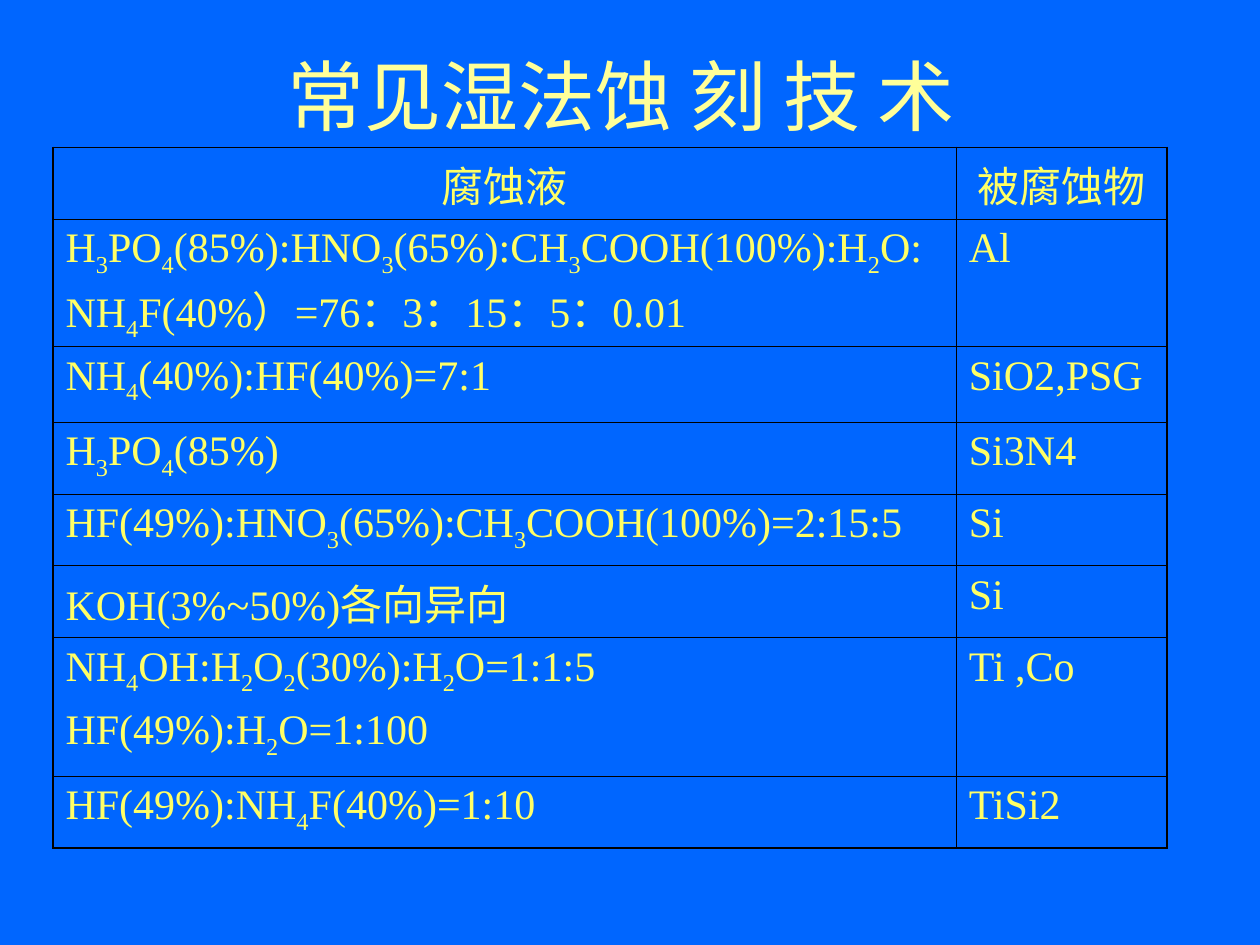
from lxml.etree import SubElement
from pptx import Presentation
from pptx.dml.color import RGBColor
from pptx.enum.text import MSO_ANCHOR, PP_ALIGN
from pptx.oxml import parse_xml
from pptx.oxml.ns import nsdecls, qn
from pptx.util import Inches, Pt

BLUE = RGBColor(0x00, 0x66, 0xFF)
TITLE_YELLOW = RGBColor(0xFF, 0xFF, 0x99)
TEXT_YELLOW = RGBColor(0xFF, 0xFF, 0x66)
BLACK = RGBColor(0x00, 0x00, 0x00)
LATIN_FONT = "Times New Roman"
CJK_FONT = "Noto Sans CJK SC"
OUTER_LINE, INNER_LINE = Pt(1.08), Pt(0.45)

TITLE = "常见湿法蚀 刻 技 术 "
COLUMN_WIDTHS = (7.17, 1.67)
ETCHANTS = [
    (0.57, ["腐蚀液"], "被腐蚀物"),
    (1.01, ["H_3PO_4(85%):HNO_3(65%):CH_3COOH(100%):H_2O:NH_4F(40%）=76：3：15：5：0.01"], "Al"),
    (0.6, ["NH_4(40%):HF(40%)=7:1"], "SiO2,PSG"),
    (0.57, ["H_3PO_4(85%)"], "Si3N4"),
    (0.57, ["HF(49%):HNO_3(65%):CH_3COOH(100%)=2:15:5"], "Si"),
    (0.57, ["KOH(3%~50%)各向异向"], "Si"),
    (1.1, ["NH_4OH:H_2O_2(30%):H_2O=1:1:5", "HF(49%):H_2O=1:100"], "Ti ,Co"),
    (0.57, ["HF(49%):NH_4F(40%)=1:10"], "TiSi2"),
]


def format_run(run, size, color, latin):
    """Set the size, colour and both typefaces of a run."""
    run.font.size = Pt(size)
    run.font.color.rgb = color
    run.font.name = latin
    SubElement(run._r.get_or_add_rPr(), qn("a:ea"), typeface=CJK_FONT)


def add_formula(paragraph, formula):
    """Write a formula in which an underscore lowers the next character."""
    first, *parts = formula.split("_")
    pieces = [(first, False)]
    for part in parts:
        pieces += [(part[0], True), (part[1:], False)]
    for text, lowered in pieces:
        run = paragraph.add_run()
        run.text = text
        format_run(run, 24, TEXT_YELLOW, LATIN_FONT)
        if lowered:
            run._r.get_or_add_rPr().set("baseline", "-25000")


def set_borders(cell, widths):
    """Draw the left, right, top and bottom borders of a cell."""
    properties = cell._tc.get_or_add_tcPr()
    for index, (side, width) in enumerate(zip("LRTB", widths)):
        line = parse_xml(
            f'<a:ln{side} {nsdecls("a")} w="{width}"><a:solidFill>'
            f'<a:srgbClr val="{BLACK}"/></a:solidFill></a:ln{side}>'
        )
        properties.insert(index, line)


def fill_cell(cell, formulas, alignment, borders):
    """Write one formula per paragraph in an unfilled, bordered cell."""
    cell.fill.background()
    set_borders(cell, borders)
    for index, formula in enumerate(formulas):
        text_frame = cell.text_frame
        paragraph = text_frame.add_paragraph() if index else text_frame.paragraphs[0]
        paragraph.alignment = alignment
        if index:
            paragraph.space_before = Pt(6)
        add_formula(paragraph, formula)


def add_title(slide, left, top, width, height):
    """Place the centred slide title."""
    text_frame = slide.shapes.add_textbox(left, top, width, height).text_frame
    text_frame.word_wrap = True
    text_frame.vertical_anchor = MSO_ANCHOR.MIDDLE
    text_frame.text = TITLE
    paragraph = text_frame.paragraphs[0]
    paragraph.alignment = PP_ALIGN.CENTER
    format_run(paragraph.runs[0], 44, TITLE_YELLOW, CJK_FONT)


def add_etchant_table(slide, left, top, width, height):
    """Place the table of etchants and the materials they etch."""
    last_row, last_column = len(ETCHANTS) - 1, len(COLUMN_WIDTHS) - 1
    table = slide.shapes.add_table(
        last_row + 1, last_column + 1, left, top, width, height
    ).table
    table.first_row = table.horz_banding = False
    for column, column_width in zip(table.columns, COLUMN_WIDTHS):
        column.width = Inches(column_width)
    for row, (row_height, etchant, material) in enumerate(ETCHANTS):
        table.rows[row].height = Inches(row_height)
        alignment = PP_ALIGN.LEFT if row else PP_ALIGN.CENTER
        for column, formulas in enumerate((etchant, [material])):
            edges = (column == 0, column == last_column, row == 0, row == last_row)
            borders = [OUTER_LINE if edge else INNER_LINE for edge in edges]
            fill_cell(table.cell(row, column), formulas, alignment, borders)


def main():
    """Build and save the slide."""
    presentation = Presentation()
    presentation.slide_width, presentation.slide_height = Inches(10), Inches(7.5)
    slide = presentation.slides.add_slide(presentation.slide_layouts[6])
    slide.background.fill.solid()
    slide.background.fill.fore_color.rgb = BLUE
    add_title(slide, Inches(0.75), Inches(0.25), Inches(8.5), Inches(1))
    add_etchant_table(slide, Inches(0.42), Inches(1.17), Inches(8.84), Inches(5.56))
    presentation.save("out.pptx")


if __name__ == "__main__":
    main()
